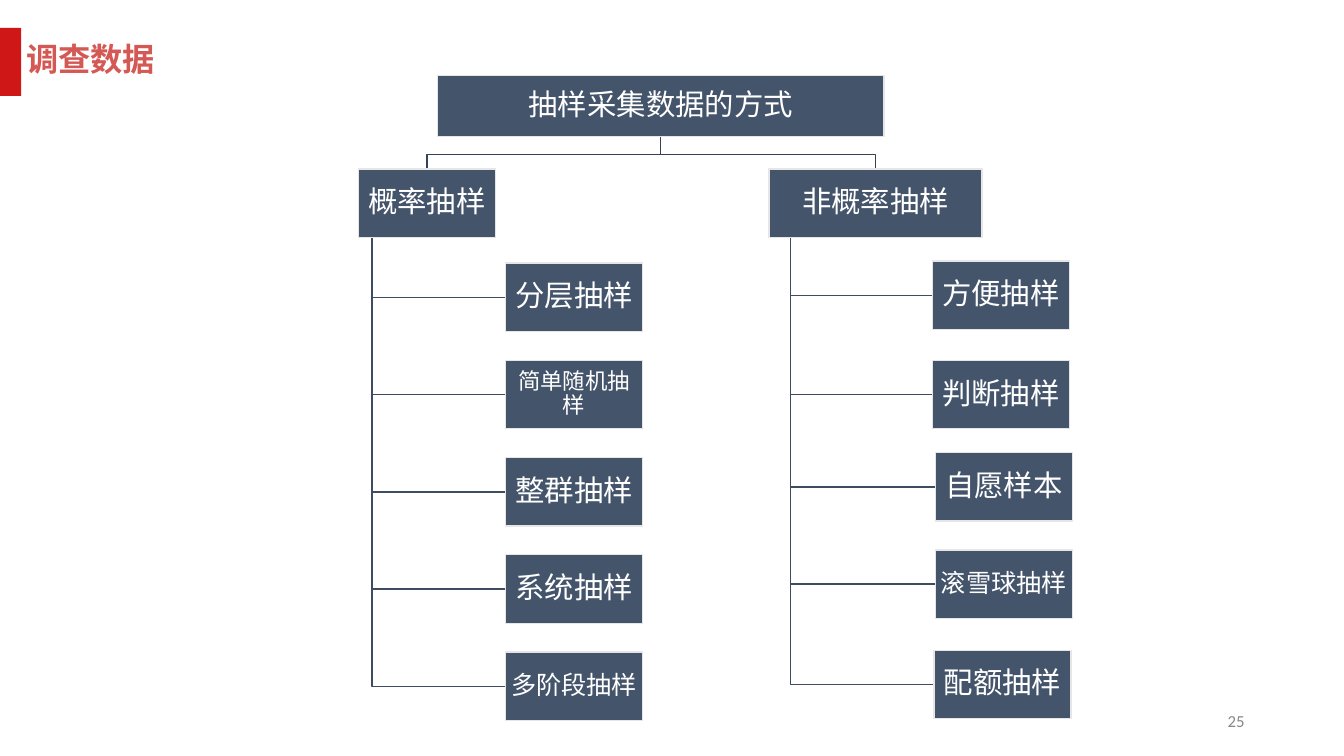
"""Draw a tree of the ways to collect survey data by sampling."""
from dataclasses import dataclass

from lxml.etree import SubElement
from pptx import Presentation
from pptx.dml.color import RGBColor
from pptx.enum.shapes import MSO_SHAPE
from pptx.enum.text import MSO_ANCHOR, MSO_AUTO_SIZE, PP_ALIGN
from pptx.oxml.ns import qn
from pptx.shapes.autoshape import Shape
from pptx.slide import Slide
from pptx.util import Cm, Pt

NAVY = RGBColor(0x44, 0x54, 0x6A)
PALE = RGBColor(0xE7, 0xE6, 0xE6)
STEM = RGBColor(0x36, 0x43, 0x54)
TWIG = RGBColor(0x3D, 0x4C, 0x60)
RED = RGBColor(0xCF, 0x17, 0x17)
ROSE = RGBColor(0xD4, 0x58, 0x54)
GREY = RGBColor(0x88, 0x88, 0x88)
WHITE = RGBColor(0xFF, 0xFF, 0xFF)
HAN = "Noto Sans CJK SC"
SIDE, TALL = 6.91, 3.45


@dataclass
class Node:
    text: str
    left: float
    top: float
    width: float = SIDE
    height: float = TALL
    size: int = 42

    @property
    def mid(self) -> float:
        return self.left + self.width / 2

    @property
    def base(self) -> float:
        return self.top + self.height


ROOT = Node("抽样采集数据的方式", 22.05, 3.81, 22.5, 3.07)
LEFT = Node("概率抽样", 18.06, 8.51)
RIGHT = Node("非概率抽样", 38.76, 8.51, 10.74)
NAMES = [("分层抽样", 42), ("简单随机抽样", 32), ("整群抽样", 42),
         ("系统抽样", 42), ("多阶段抽样", 36)]
TREE = [
    (LEFT, [Node(name, 25.48, 13.26 + 4.9 * row, size=size)
            for row, (name, size) in enumerate(NAMES)]),
    (RIGHT, [Node("方便抽样", 46.99, 13.16), Node("判断抽样", 46.99, 18.16),
             Node("自愿样本", 47.14, 22.81),
             Node("滚雪球抽样", 47.14, 27.71, size=36),
             Node("配额抽样", 47.07, 32.77)]),
]


def write(shape: Shape, text: str, *, size: int, color: RGBColor,
          font: str = HAN, bold: bool = False, pad: float = 0.08,
          align: PP_ALIGN = PP_ALIGN.CENTER, wrap: bool = True,
          anchor: MSO_ANCHOR = MSO_ANCHOR.MIDDLE, pitch: float = 1.0) -> None:
    frame = shape.text_frame
    frame.auto_size = MSO_AUTO_SIZE.NONE
    frame.word_wrap = wrap
    frame.vertical_anchor = anchor
    frame.margin_left = frame.margin_right = Cm(pad)
    frame.margin_top = frame.margin_bottom = Cm(pad)
    line = frame.paragraphs[0]
    line.alignment = align
    line.line_spacing = pitch
    run = line.add_run()
    run.text = text
    run.font.size = Pt(size)
    run.font.bold = bold
    run.font.name = font
    run.font.color.rgb = color
    SubElement(run.font._element, qn("a:ea")).set("typeface", font)


def block(slide: Slide, left: float, top: float, width: float,
          height: float, fill: RGBColor) -> Shape:
    shape = slide.shapes.add_shape(MSO_SHAPE.RECTANGLE, Cm(left), Cm(top),
                                   Cm(width), Cm(height))
    shape.shadow.inherit = False
    shape.fill.solid()
    shape.fill.fore_color.rgb = fill
    shape.line.fill.background()
    return shape


def draw(slide: Slide, node: Node) -> None:
    shape = block(slide, node.left, node.top, node.width, node.height, NAVY)
    shape.line.color.rgb = PALE
    shape.line.width = Pt(2)
    write(shape, node.text, size=node.size, color=WHITE, pitch=0.9)


def link(slide: Slide, color: RGBColor, *points: tuple[float, float]) -> None:
    start, *rest = [(Cm(x), Cm(y)) for x, y in points]
    pen = slide.shapes.build_freeform(*start)
    pen.add_line_segments(rest, close=False)
    shape = pen.convert_to_shape()
    shape.shadow.inherit = False
    shape.fill.background()
    shape.line.color.rgb = color
    shape.line.width = Pt(2)


def main() -> None:
    deck = Presentation()
    deck.slide_width, deck.slide_height = Cm(67.74), Cm(38.1)
    slide = deck.slides.add_slide(deck.slide_layouts[5])

    title = slide.shapes.title
    title.left, title.top = Cm(1.07), Cm(1.73)
    title.width, title.height = Cm(29.18), Cm(2.79)
    write(title, "调查数据", size=46, color=ROSE, bold=True, pad=0.25,
          align=PP_ALIGN.LEFT, anchor=MSO_ANCHOR.TOP)
    block(slide, 0, 1.4, 1.07, 3.43, RED)
    page = slide.shapes.add_textbox(Cm(61.49), Cm(35.48), Cm(1.57), Cm(1.7))
    write(page, "25", size=24, color=GREY, font="Calibri", pad=0.33,
          align=PP_ALIGN.RIGHT, wrap=False)

    fork = 7.8
    for head, leaves in TREE:
        link(slide, STEM, (ROOT.mid, ROOT.base), (ROOT.mid, fork),
             (head.mid, fork), (head.mid, head.top))
        trunk = head.left + head.width / 10
        for leaf in leaves:
            level = leaf.top + leaf.height / 2
            link(slide, TWIG, (trunk, head.base), (trunk, level),
                 (leaf.left, level))
    draw(slide, ROOT)
    for head, leaves in TREE:
        for node in [head, *leaves]:
            draw(slide, node)
    deck.save("out.pptx")


if __name__ == "__main__":
    main()
